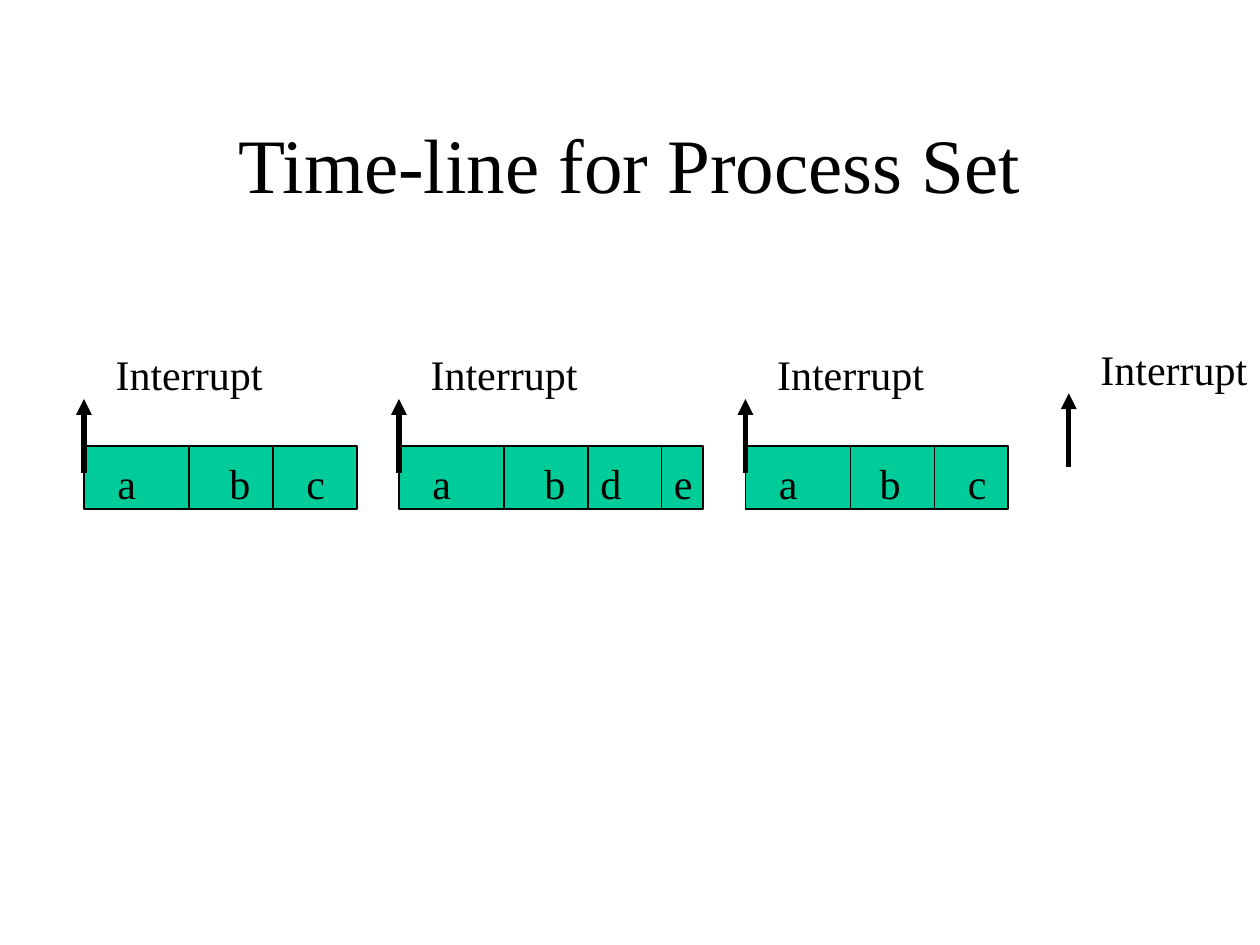
from lxml.etree import SubElement
from pptx import Presentation
from pptx.dml.color import RGBColor
from pptx.enum.shapes import MSO_CONNECTOR, MSO_SHAPE
from pptx.enum.text import MSO_ANCHOR, MSO_AUTO_SIZE, PP_ALIGN
from pptx.oxml.ns import qn
from pptx.util import Pt

BLACK = RGBColor(0x00, 0x00, 0x00)
GREEN = RGBColor(0x00, 0xCC, 0x99)
FONT = "Times New Roman"

# Content: each bar has a left edge and slots of (process, width, label indent)
TITLE = "Time-line for Process Set"
BARS = [
    (48, [("a", 60, 12), ("b", 48, 16), ("c", 48, 12)]),
    (228, [("a", 60, 12), ("b", 48, 16), ("d", 42, 0), ("e", 24, 0)]),
    (426, [("a", 60, 12), ("b", 48, 9.5), ("c", 42, 12)]),
]
LAST_INTERRUPT = (610.75, 224.75)

# Layout in points
BAR_TOP, BAR_H = 255, 36
ARROW_TOP, ARROW_H = 228, 42
LABEL_TOP, LABEL_H = 258, 36
LABEL_W = {"a": 25, "b": 26, "c": 25, "d": 26, "e": 25}
INTERRUPT_DX, INTERRUPT_DY, INTERRUPT_W = 11, -32.25, 99


def set_font(p, size):
    for name, value in {"name": FONT, "size": Pt(size)}.items():
        setattr(p.font, name, value)
    p.font.color.rgb = BLACK


def add_label(shapes, text, x, y, w):
    tb = shapes.add_textbox(Pt(x), Pt(y), Pt(w), Pt(LABEL_H))
    tf = tb.text_frame
    tf.word_wrap = False
    tf.auto_size = MSO_AUTO_SIZE.SHAPE_TO_FIT_TEXT
    tf.text = text
    set_font(tf.paragraphs[0], 24)


def add_line(shapes, x, y1, y2, width):
    line = shapes.add_connector(MSO_CONNECTOR.STRAIGHT, Pt(x), Pt(y1), Pt(x), Pt(y2))
    line.line.color.rgb = BLACK
    line.line.width = Pt(width)
    SubElement(line._element.spPr, qn("a:effectLst"))
    return line


def add_interrupt(shapes, x, y):
    group = shapes.add_group_shape().shapes
    arrow = add_line(group, x, y, y + ARROW_H, 3)
    SubElement(arrow.line._get_or_add_ln(), qn("a:headEnd"), type="triangle")
    add_label(group, "Interrupt", x + INTERRUPT_DX, y + INTERRUPT_DY, INTERRUPT_W)


def add_bar(shapes, left, slots):
    width = sum(w for _, w, _ in slots)
    bar = shapes.add_shape(MSO_SHAPE.RECTANGLE, Pt(left), Pt(BAR_TOP), Pt(width), Pt(BAR_H))
    bar.shadow.inherit = False
    bar.fill.solid()
    bar.fill.fore_color.rgb = GREEN
    bar.line.color.rgb = BLACK
    bar.line.width = Pt(1)
    x = left
    for name, w, indent in slots:
        if x > left:
            add_line(shapes, x, BAR_TOP, BAR_TOP + BAR_H, 1)
        add_label(shapes, name, x + indent, LABEL_TOP, LABEL_W[name])
        x += w


prs = Presentation()
prs.slide_width, prs.slide_height = Pt(720), Pt(540)
s = prs.slides.add_slide(prs.slide_layouts[5])

# Title
title = s.shapes.title
box = {"left": 54, "top": 48, "width": 612, "height": 90}
for name, value in box.items():
    setattr(title, name, Pt(value))
tf = title.text_frame
tf.text = TITLE
tf.vertical_anchor = MSO_ANCHOR.MIDDLE
tf.paragraphs[0].alignment = PP_ALIGN.CENTER
set_font(tf.paragraphs[0], 44)

# Process bars, each starting at an interrupt
for left, slots in BARS:
    add_bar(s.shapes, left, slots)
    add_interrupt(s.shapes, left, ARROW_TOP)
add_interrupt(s.shapes, *LAST_INTERRUPT)

prs.save("out.pptx")
